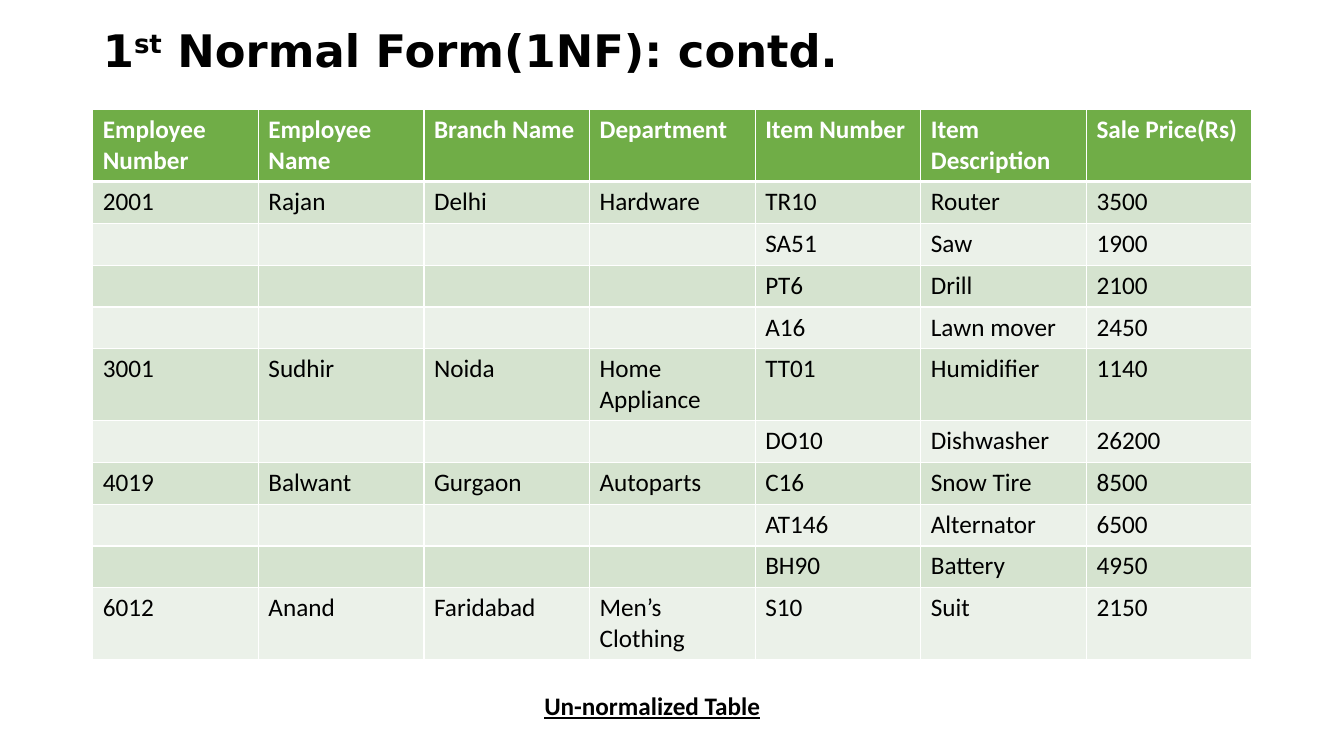
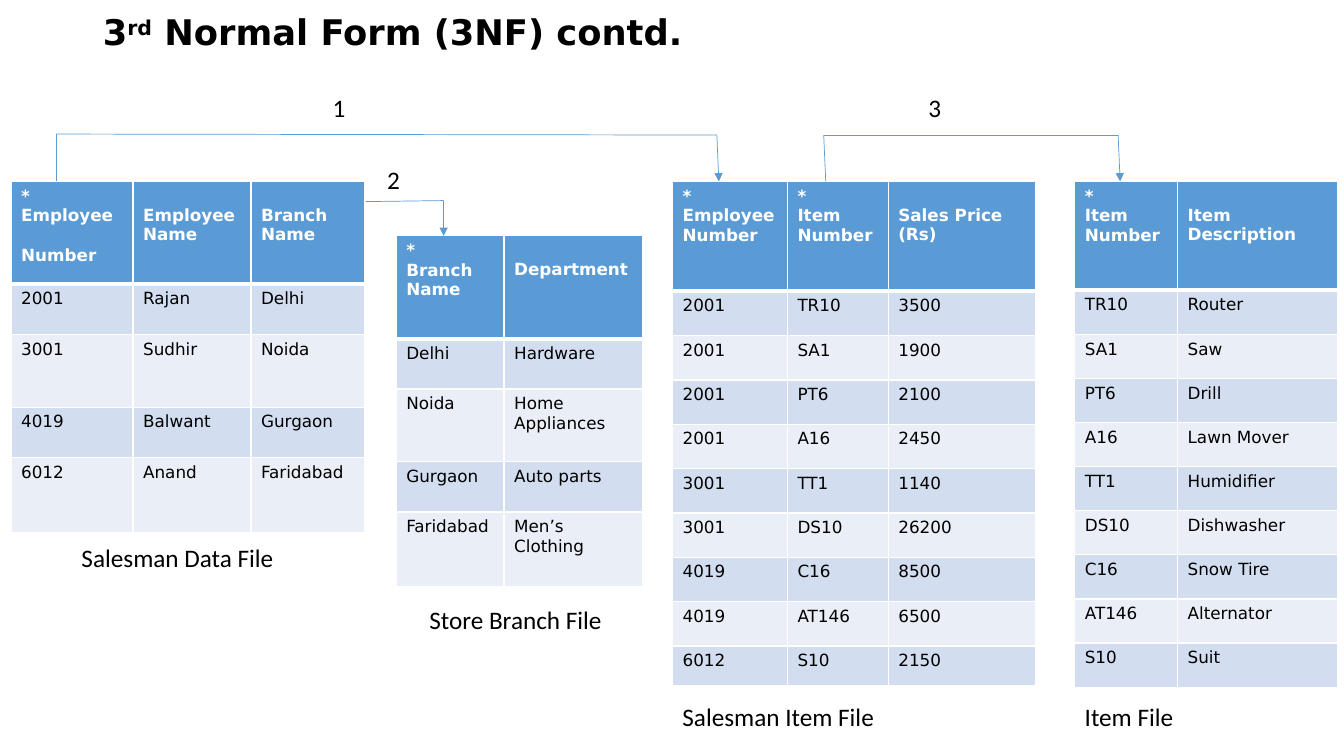
"""Build two slides on normal forms: an un-normalized table and its 3NF files."""
import lxml.etree
import pptx
import pptx.dml.color
import pptx.enum.shapes
import pptx.enum.text
import pptx.oxml.ns
import pptx.util

PX = 9144
COLORS = {
    "black": "000000", "white": "FFFFFF", "line": "5B9BD5",
    "green": ("70AD47", "D5E3CF", "EBF1E9"),
    "blue": ("5B9BD5", "D2DEEF", "EAEFF7"),
}
TITLE_FONT, BODY_FONT = "DejaVu Sans", "Calibri"
LINE_HEIGHT = 19
MARGIN = 5

FIRST_TITLE = ("1", "st", " Normal Form(1NF): contd.")
THIRD_TITLE = ("3", "rd", " Normal Form (3NF) contd.")

BLANK = ("",) * 4
UNNORMALIZED = {
    "at": (92, 109), "columns": [1150 / 7] * 7,
    "rows": [71] + [41.5] * 4 + [71] + [41.5] * 4 + [71],
    "palette": "green", "font": BODY_FONT, "size": 18,
    "cells": [
        ("Employee Number", "Employee Name", "Branch Name", "Department",
         "Item Number", "Item Description", "Sale Price(Rs)"),
        ("2001", "Rajan", "Delhi", "Hardware", "TR10", "Router", "3500"),
        (*BLANK, "SA51", "Saw", "1900"),
        (*BLANK, "PT6", "Drill", "2100"),
        (*BLANK, "A16", "Lawn mover", "2450"),
        ("3001", "Sudhir", "Noida", "Home Appliance", "TT01", "Humidifier", "1140"),
        (*BLANK, "DO10", "Dishwasher", "26200"),
        ("4019", "Balwant", "Gurgaon", "Autoparts", "C16", "Snow Tire", "8500"),
        (*BLANK, "AT146", "Alternator", "6500"),
        (*BLANK, "BH90", "Battery", "4950"),
        ("6012", "Anand", "Faridabad", "Men’s Clothing", "S10", "Suit", "2150"),
    ],
}

FILE_STYLE = {"palette": "blue", "font": TITLE_FONT, "size": 12, "key_line": True}
FILES = [
    {"at": (11, 180), "columns": [121, 117, 113], "rows": [102, 50, 72, 50, 74],
     "cells": [
         ("*\nEmployee\nNumber", "Employee Name", "Branch Name"),
         ("2001", "Rajan", "Delhi"),
         ("3001", "Sudhir", "Noida"),
         ("4019", "Balwant", "Gurgaon"),
         ("6012", "Anand", "Faridabad"),
     ]},
    {"at": (393, 234), "columns": [107, 137], "rows": [102, 50, 72, 50, 74],
     "cells": [
         ("*\nBranch Name", "Department"),
         ("Delhi", "Hardware"),
         ("Noida", "Home Appliances"),
         ("Gurgaon", "Auto parts"),
         ("Faridabad", "Men’s Clothing"),
     ]},
    {"at": (667, 180), "columns": [114, 100, 146], "rows": [109] + [44] * 8 + [39],
     "cells": [
         ("*\nEmployee Number", "*\nItem Number", "Sales Price (Rs)"),
         ("2001", "TR10", "3500"),
         ("2001", "SA1", "1900"),
         ("2001", "PT6", "2100"),
         ("2001", "A16", "2450"),
         ("3001", "TT1", "1140"),
         ("3001", "DS10", "26200"),
         ("4019", "C16", "8500"),
         ("4019", "AT146", "6500"),
         ("6012", "S10", "2150"),
     ]},
    {"at": (1066, 180), "columns": [102, 159], "rows": [108] + [394 / 9] * 9,
     "cells": [
         ("*\nItem Number", "Item Description"),
         ("TR10", "Router"),
         ("SA1", "Saw"),
         ("PT6", "Drill"),
         ("A16", "Lawn Mover"),
         ("TT1", "Humidifier"),
         ("DS10", "Dishwasher"),
         ("C16", "Snow Tire"),
         ("AT146", "Alternator"),
         ("S10", "Suit"),
     ]},
]
LABELS = [
    ("1", 320, 87, 40), ("2", 374, 158, 29), ("3", 911, 87, 44),
    ("Salesman Data File", 71, 533, 231), ("Store Branch File", 416, 595, 231),
    ("Salesman Item File", 667, 691, 231), ("Item File", 1066, 691, 231),
]
LINKS = [
    [(56, 180), (56, 133), (711, 134), (713, 180)],
    [(363, 200), (440, 199), (440, 234)],
    [(819, 180), (817, 134), (1109, 134), (1111, 180)],
]


def emu(*lengths):
    return [round(length * PX) for length in lengths]


def rgb(color):
    return pptx.dml.color.RGBColor.from_string(color)


def style_font(font, name, size, color=COLORS["black"], bold=False):
    font.name, font.size, font.bold = name, pptx.util.Pt(size), bold
    font.color.rgb = rgb(color)


def add_title(slide, parts, top, height, size):
    title = slide.shapes.title
    title.left, title.top, title.width, title.height = emu(92, top, 1150, height)
    frame = title.text_frame
    frame.auto_size = pptx.enum.text.MSO_AUTO_SIZE.NONE
    frame.vertical_anchor = pptx.enum.text.MSO_ANCHOR.MIDDLE
    para = frame.paragraphs[0]
    para.alignment = pptx.enum.text.PP_ALIGN.LEFT
    para.line_spacing = 0.9
    for part in parts:
        span = para.add_run()
        span.text = part
        style_font(span.font, TITLE_FONT, size, bold=True)
    para.runs[1].font._element.set("baseline", "30000")


def add_label(slide, text, left, top, width, bold=False):
    box = slide.shapes.add_textbox(*emu(left, top, width, 40))
    box.text_frame.word_wrap = True
    box.text_frame.text = text
    font = box.text_frame.paragraphs[0].runs[0].font
    style_font(font, BODY_FONT, 18, bold=bold)
    font.underline = bold


def add_borders(cell, row):
    points = {"L": 1, "R": 1, "T": 3 if row == 1 else 1, "B": 3 if row == 0 else 1}
    properties = cell._tc.get_or_add_tcPr()
    for index, (side, width) in enumerate(points.items()):
        border = lxml.etree.Element(pptx.oxml.ns.qn(f"a:ln{side}"), w=str(pptx.util.Pt(width)))
        fill = lxml.etree.SubElement(border, pptx.oxml.ns.qn("a:solidFill"))
        lxml.etree.SubElement(fill, pptx.oxml.ns.qn("a:srgbClr"), val=COLORS["white"])
        properties.insert(index, border)


def fill_cell(cell, text, row, palette, font, size, key_line=False):
    header = row == 0
    shade = 0 if header else 2 - row % 2
    cell.fill.solid()
    cell.fill.fore_color.rgb = rgb(COLORS[palette][shade])
    add_borders(cell, row)
    cell.text_frame.text = text
    if header and key_line and not text.startswith("*"):
        cell.margin_top = emu(MARGIN + LINE_HEIGHT)[0]
    color = COLORS["white"] if header else COLORS["black"]
    for index, para in enumerate(cell.text_frame.paragraphs):
        style_font(para.font, font, size, color, header)
        if index == 2:
            para.space_before = pptx.util.Pt(14)
        for span in para.runs:
            style_font(span.font, font, size, color, header)


def add_grid(slide, at, columns, rows, cells, **style):
    frame = slide.shapes.add_table(
        len(rows), len(columns), *emu(*at, sum(columns), sum(rows)))
    table = frame.table
    table.horz_banding = False
    for column, width in zip(table.columns, emu(*columns)):
        column.width = width
    for line, height in zip(table.rows, emu(*rows)):
        line.height = height
    for row, texts in enumerate(cells):
        for column, text in enumerate(texts):
            fill_cell(table.cell(row, column), text, row, **style)


def add_link(slide, points):
    for start, end in zip(points, points[1:]):
        connector = slide.shapes.add_connector(
            pptx.enum.shapes.MSO_CONNECTOR.STRAIGHT, *emu(*start, *end))
        connector.line.color.rgb = rgb(COLORS["line"])
        connector.line.width = pptx.util.Pt(0.5)
        properties = connector.element.spPr
        if end == points[-1]:
            line = properties.find(pptx.oxml.ns.qn("a:ln"))
            lxml.etree.SubElement(line, pptx.oxml.ns.qn("a:tailEnd"), type="triangle")
        lxml.etree.SubElement(properties, pptx.oxml.ns.qn("a:effectLst"))


def main():
    deck = pptx.Presentation()
    deck.slide_width, deck.slide_height = emu(1333, 750)
    title_only = deck.slide_layouts[5]

    slide = deck.slides.add_slide(title_only)
    add_title(slide, FIRST_TITLE, 21, 63, 32)
    add_grid(slide, **UNNORMALIZED)
    add_label(slide, "Un-normalized Table", 530, 680, 247, bold=True)

    slide = deck.slides.add_slide(title_only)
    add_title(slide, THIRD_TITLE, 10, 48, 25.2)
    for file in FILES:
        add_grid(slide, **file, **FILE_STYLE)
    for link in LINKS:
        add_link(slide, link)
    for label in LABELS:
        add_label(slide, *label)

    deck.save("out.pptx")


if __name__ == "__main__":
    main()
